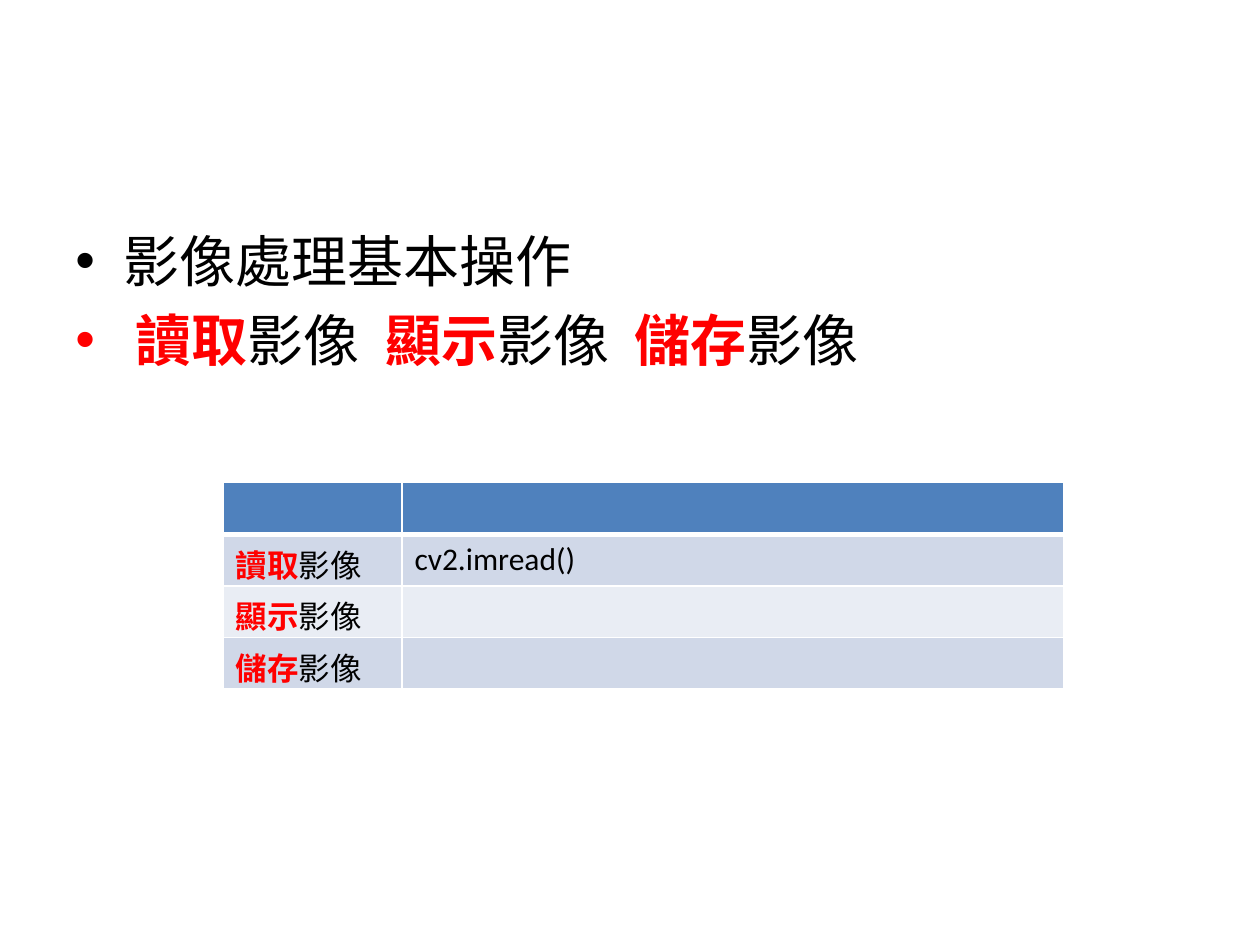
"""Build a slide listing the basic image operations and their OpenCV functions."""
from lxml import etree
from pptx import Presentation
from pptx.dml.color import RGBColor
from pptx.oxml import parse_xml
from pptx.oxml.ns import nsdecls, qn
from pptx.util import Inches, Pt

FONT = "Calibri"
BLACK, RED, WHITE = "000000", "FF0000", "FFFFFF"
HEADER_FILL = "4F81BD"
BAND_FILLS = ["D0D8E8", "E9EDF4"]
OPERATIONS = [("讀取", "cv2.imread()"), ("顯示", ""), ("儲存", "")]


def rgb(value):
    return RGBColor.from_string(value)


def add_text(paragraph, size, pieces):
    paragraph.font.name = FONT
    paragraph.font.size = Pt(size)
    runs = []
    for text, color in pieces:
        run = paragraph.add_run()
        run.text = text
        run.font.color.rgb = rgb(color)
        run.font.bold = color == RED
        runs.append(run)
    return runs


presentation = Presentation()
presentation.slide_width = Inches(10)
presentation.slide_height = Inches(7.5)
slide = presentation.slides.add_slide(presentation.slide_layouts[6])

outline = slide.shapes.add_textbox(Inches(0.5), Inches(1.75), Inches(9), Inches(1.53)).text_frame
outline.word_wrap = True
topic = outline.paragraphs[0]
add_text(topic, 32, [("影像處理基本操作", BLACK)])

summary = outline.add_paragraph()
for number, (verb, function) in enumerate(OPERATIONS):
    if number:
        gap = add_text(summary, 32, [(" ", BLACK)])[0]
        gap.font._element.set("spc", "720")
    add_text(summary, 32, [(verb, RED), ("影像", BLACK)])

for bullet_line, indent in [(topic, 0.38), (summary, 0.48)]:
    bullet_line.space_before = Pt(6.4)
    properties = bullet_line._p.get_or_add_pPr()
    properties.set("marL", str(Inches(indent)))
    properties.set("indent", str(-Inches(indent)))
    bullet_font = etree.Element(qn("a:buFont"), typeface="Arial")
    bullet = etree.Element(qn("a:buChar"), char="•")
    defaults = properties.find(qn("a:defRPr"))
    defaults.addprevious(bullet_font)
    defaults.addprevious(bullet)

functions_table = slide.shapes.add_table(
    len(OPERATIONS) + 1, 2, Inches(1.77), Inches(3.83), Inches(6.67), Inches(1.62)
).table
for column, width in zip(functions_table.columns, [1.42, 5.25]):
    column.width = Inches(width)

for row, (verb, function) in enumerate(OPERATIONS, start=1):
    add_text(functions_table.cell(row, 0).text_frame.paragraphs[0], 18, [(verb, RED), ("影像", BLACK)])
    if function:
        add_text(functions_table.cell(row, 1).text_frame.paragraphs[0], 18, [(function, BLACK)])

for row_number, row in enumerate(functions_table.rows):
    row.height = Inches(0.41)
    for cell in row.cells:
        cell.fill.solid()
        cell.fill.fore_color.rgb = rgb(BAND_FILLS[(row_number - 1) % 2] if row_number else HEADER_FILL)
        cell_properties = cell._tc.get_or_add_tcPr()
        for position, side in enumerate(["lnL", "lnR", "lnT", "lnB"]):
            heavy = (row_number, side) in [(0, "lnB"), (1, "lnT")]
            border = parse_xml(
                f'<a:{side} {nsdecls("a")} w="{Pt(3 if heavy else 1)}">'
                f'<a:solidFill><a:srgbClr val="{WHITE}"/></a:solidFill></a:{side}>'
            )
            cell_properties.insert(position, border)

presentation.save("out.pptx")
